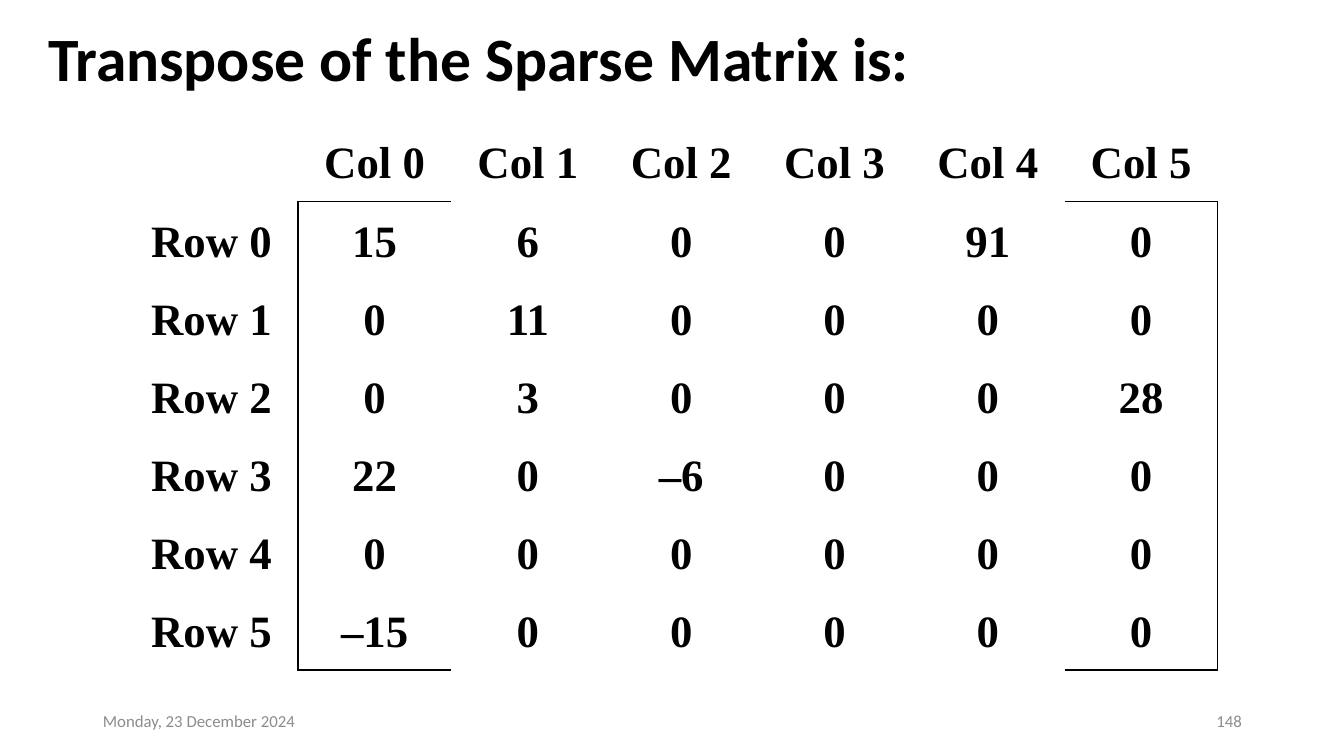
from lxml import etree
from pptx import Presentation
from pptx.dml.color import RGBColor
from pptx.enum.text import MSO_ANCHOR, PP_ALIGN
from pptx.oxml.ns import qn
from pptx.util import Emu, Pt

LEFT, CENTER, RIGHT = PP_ALIGN.LEFT, PP_ALIGN.CENTER, PP_ALIGN.RIGHT
MIDDLE = MSO_ANCHOR.MIDDLE

TITLE = "Transpose of the Sparse Matrix is:"
DATE = "Monday, 23 December 2024"
PAGE_NUMBER = "148"
MATRIX = [
    ["15", "6", "0", "0", "91", "0"],
    ["0", "11", "0", "0", "0", "0"],
    ["0", "3", "0", "0", "0", "28"],
    ["22", "0", "–6", "0", "0", "0"],
    ["0", "0", "0", "0", "0", "0"],
    ["–15", "0", "0", "0", "0", "0"],
]
COLORS = {"ink": "000000", "footer": "8C8C8C"}

TITLE_BOX = (38, 0, 1267, 123)
DATE_BOX = (93, 701, 302, 40)
NUMBER_BOX = (950, 701, 302, 40)
TABLE_BOX = (125, 123, 1093, 547)
LABEL_WIDTH = 173
CELL_MARGIN = 7


def px(length):
    return Emu(round(length * 914400 / 100.8))


def write(frame, text, size=12, font="Calibri", color="ink", bold=False,
          align=LEFT, spacing=1.0):
    frame.word_wrap = True
    para = frame.paragraphs[0]
    para.alignment = align
    para.line_spacing = spacing
    span = para.add_run()
    span.text = text
    span.font.size = Pt(size)
    span.font.name = font
    span.font.bold = bold
    span.font.color.rgb = RGBColor.from_string(COLORS[color])


def add_footer(page, area, text, align):
    box = page.shapes.add_textbox(*map(px, area))
    box.text_frame.vertical_anchor = MIDDLE
    write(box.text_frame, text, color="footer", align=align)


def bracket_sides(row, column, last_row, last_column):
    outer = column in (1, last_column)
    return {
        "lnL": row > 0 and column == 1,
        "lnR": row > 0 and column in (0, last_column),
        "lnT": row == 1 and outer,
        "lnB": row in (0, last_row) and outer,
    }


def set_borders(cell, sides):
    properties = cell._tc.get_or_add_tcPr()
    for index, (side, drawn) in enumerate(sides.items()):
        line = etree.Element(qn(f"a:{side}"), w=str(Pt(1)))
        if drawn:
            fill = etree.SubElement(line, qn("a:solidFill"))
            etree.SubElement(fill, qn("a:srgbClr"), val=COLORS["ink"])
        else:
            etree.SubElement(line, qn("a:noFill"))
        properties.insert(index, line)


def add_matrix(page):
    header = [""] + [f"Col {index}" for index in range(len(MATRIX[0]))]
    body = [[f"Row {index}"] + values for index, values in enumerate(MATRIX)]
    grid = [header] + body
    last_row, last_column = len(grid) - 1, len(header) - 1
    table = page.shapes.add_table(
        len(grid), len(header), *map(px, TABLE_BOX)).table
    table.first_row = False
    table.horz_banding = False
    for row in table.rows:
        row.height = px(TABLE_BOX[3] / len(grid))
    for index, column in enumerate(table.columns):
        value_width = (TABLE_BOX[2] - LABEL_WIDTH) / last_column
        column.width = px(value_width if index else LABEL_WIDTH)
    for row, texts in enumerate(grid):
        for column, text in enumerate(texts):
            cell = table.cell(row, column)
            cell.fill.background()
            cell.vertical_anchor = MIDDLE
            cell.margin_left = cell.margin_right = px(CELL_MARGIN)
            cell.margin_top = cell.margin_bottom = 0
            set_borders(cell, bracket_sides(row, column, last_row, last_column))
            if text:
                write(cell.text_frame, text, size=32, font="Times New Roman",
                      bold=True, align=CENTER, spacing=1.07)


def main():
    deck = Presentation()
    deck.slide_width, deck.slide_height = px(1344), px(756)
    page = deck.slides.add_slide(deck.slide_layouts[5])
    title = page.shapes.title
    title.left, title.top, title.width, title.height = map(px, TITLE_BOX)
    title.text_frame.vertical_anchor = MIDDLE
    write(title.text_frame, TITLE, size=44, bold=True, spacing=0.9)
    add_footer(page, DATE_BOX, DATE, LEFT)
    add_footer(page, NUMBER_BOX, PAGE_NUMBER, RIGHT)
    add_matrix(page)
    deck.save("out.pptx")


if __name__ == "__main__":
    main()
